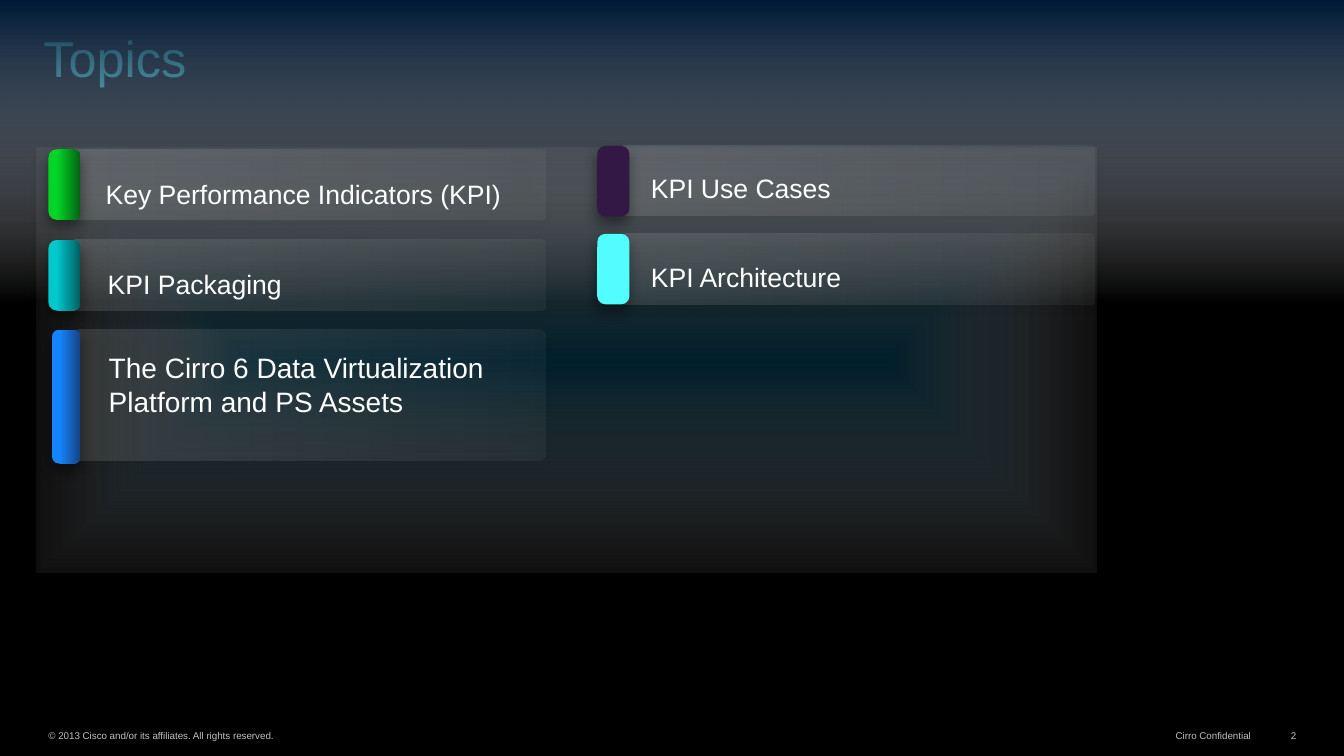
import pptx
import pptx.util
import pptx.oxml
import pptx.oxml.ns
import pptx.dml.color
import pptx.enum.shapes
import pptx.enum.text

Pt = pptx.util.Pt
Kind = pptx.enum.shapes.MSO_SHAPE
Anchor = pptx.enum.text.MSO_ANCHOR
Align = pptx.enum.text.PP_ALIGN
qn = pptx.oxml.ns.qn
NS = pptx.oxml.ns.nsdecls("a")

HEX = {
    "black": "000000", "white": "FFFFFF", "navy": "001A38", "sea": "004B6B",
    "title": "40FFFE", "grey": "C0C0C0", "plum": "331744", "aqua": "51FDFF",
    "green": "03D526", "moss": "026211", "teal": "00C8CD", "pine": "005D60",
    "blue": "1585FF", "ink": "134486",
}
FONT = "Arial"
SOFT = (27, 6, 4, 90)    # shadow: alpha, blur, distance, angle
DEEP = (44, 10, 5, 94)
GLASS = [(0, "white", 13), (100, "white", 5)]


def color(name):
    return pptx.dml.color.RGBColor.from_string(HEX[name])


def shade(shape, stops, angle):
    """Gradient fill; an angle of None spreads it from the centre."""
    marks = "".join(
        f'<a:gs pos="{pos * 1000}"><a:srgbClr val="{HEX[name]}">'
        f'<a:alpha val="{alpha * 1000}"/></a:srgbClr></a:gs>'
        for pos, name, alpha in stops)
    if angle is None:
        way = ('<a:path path="shape"><a:fillToRect l="50000" t="50000" '
               'r="50000" b="50000"/></a:path>')
    else:
        way = f'<a:lin ang="{angle * 60000}" scaled="0"/>'
    shape.fill.solid()
    props = shape.element.spPr
    props.replace(props.find(qn("a:solidFill")), pptx.oxml.parse_xml(
        f'<a:gradFill {NS} rotWithShape="1"><a:gsLst>{marks}</a:gsLst>'
        f'{way}</a:gradFill>'))


def drop(shape, glow):
    """Outer shadow."""
    alpha, blur, dist, angle = glow
    shape.shadow.inherit = False
    shape.element.spPr.find(qn("a:effectLst")).append(pptx.oxml.parse_xml(
        f'<a:outerShdw {NS} blurRad="{Pt(blur)}" dist="{Pt(dist)}" '
        f'dir="{angle * 60000}" algn="ctr" rotWithShape="0">'
        f'<a:srgbClr val="{HEX["black"]}"><a:alpha val="{alpha * 1000}"/>'
        f'</a:srgbClr></a:outerShdw>'))


def block(slide, kind, box, stops, angle, glow, bend=None):
    shape = slide.shapes.add_shape(kind, *map(Pt, box))
    if bend is not None:
        shape.adjustments[0] = bend
    shape.line.fill.background()
    shade(shape, stops, angle)
    drop(shape, glow)
    return shape


def band(slide, left, top, high):
    block(slide, Kind.ROUNDED_RECTANGLE, (left, top, 338.4, high),
          GLASS, 0, SOFT, 0.056)


def tab(slide, mid, top, wide, high, tones):
    """Upright tab, drawn lying down and turned."""
    box = (mid - high / 2, top + (high - wide) / 2, high, wide)
    stops = [(26, tones[0], 100), (100, tones[-1], 100)]
    shape = block(slide, Kind.ROUNDED_RECTANGLE, box, stops, 90, DEEP, 0.254)
    if len(tones) == 1:
        shape.fill.solid()
        shape.fill.fore_color.rgb = color(tones[0])
    shape.rotation = 270


def write(para, text, size, tone):
    run = para.add_run()
    run.text = text
    run.font.name = FONT
    run.font.size = Pt(size)
    run.font.color.rgb = color(tone)


def label(slide, box, text, size, space, indent=0):
    frame = slide.shapes.add_textbox(*map(Pt, box)).text_frame
    frame.word_wrap = True
    para = frame.paragraphs[0]
    para.line_spacing = space
    if indent:
        props = para._p.get_or_add_pPr()
        props.set("marL", str(Pt(indent)))
        props.set("indent", "0")
    write(para, text, size, "white")


def foot(slide, left, wide, text, align, wrap):
    frame = slide.shapes.add_textbox(
        Pt(left), Pt(517.3), Pt(wide), Pt(15.1)).text_frame
    frame.word_wrap = wrap
    frame.vertical_anchor = Anchor.BOTTOM
    frame.margin_left = frame.margin_right = Pt(6.5)
    frame.margin_top = frame.margin_bottom = Pt(3)
    frame.paragraphs[0].alignment = align
    write(frame.paragraphs[0], text, 7, "grey")


def head(slide, text):
    title = slide.shapes.title
    title.left, title.top, title.width, title.height = map(
        Pt, (24.5, 0, 900.7, 66.2))
    frame = title.text_frame
    frame.vertical_anchor = Anchor.BOTTOM
    frame.margin_left = frame.margin_right = Pt(6.5)
    frame.margin_top = frame.margin_bottom = Pt(3.6)
    para = frame.paragraphs[0]
    para.alignment = Align.LEFT
    para.line_spacing = 0.8
    write(para, text, 36, "title")


def main():
    deck = pptx.Presentation()
    deck.slide_width, deck.slide_height = Pt(960), Pt(540)
    slide = deck.slides.add_slide(deck.slide_layouts[5])
    slide.background.fill.solid()
    slide.background.fill.fore_color.rgb = color("black")

    # Backdrop, footer and title
    block(slide, Kind.RECTANGLE, (0, 0, 960, 216.7),
          [(0, "navy", 100), (100, "white", 0)], 90, SOFT)
    foot(slide, 28.1, 359.3,
         "© 2013 Cisco and/or its affiliates. All rights reserved.",
         Align.LEFT, True)
    foot(slide, 830.2, 69.8, "Cirro Confidential", Align.RIGHT, False)
    foot(slide, 910.8, 21.6, "2", Align.RIGHT, False)
    block(slide, Kind.RECTANGLE, (25.9, 105.1, 757.4, 303.8),
          [(0, "sea", 40), (100, "white", 5)], None, SOFT)
    head(slide, "Topics")

    # Short topics: band corner, text corner, tab middle and top
    topics = [
        ("Key Performance Indicators (KPI)", 51.1, 106.6, 51.1, 100.8,
         46.1, 106.6, ("green", "moss")),
        ("KPI Packaging", 51.1, 171.4, 52.6, 164.9,
         46.1, 171.4, ("teal", "pine")),
        ("KPI Use Cases", 443.5, 103.7, 440.6, 96.5,
         438.1, 104.2, ("plum",)),
        ("KPI Architecture", 443.5, 167, 440.6, 159.8,
         438.1, 167, ("aqua",)),
    ]
    for text, left, top, inset, rise, mid, edge, tones in topics:
        band(slide, left, top, 50.4)
        label(slide, (inset, rise, 340.6, 49.7), text, 19, 2, 17.3)
        tab(slide, mid, edge, 23, 50.4, tones)

    # Tall topic
    band(slide, 51.1, 235.4, 93.6)
    label(slide, (70.6, 245.5, 285.8, 79.9),
          "The Cirro 6 Data Virtualization Platform and PS Assets", 20, 1.04)
    tab(slide, 47.2, 235.4, 20.2, 95.8, ("blue", "ink"))

    deck.save("out.pptx")


if __name__ == "__main__":
    main()
